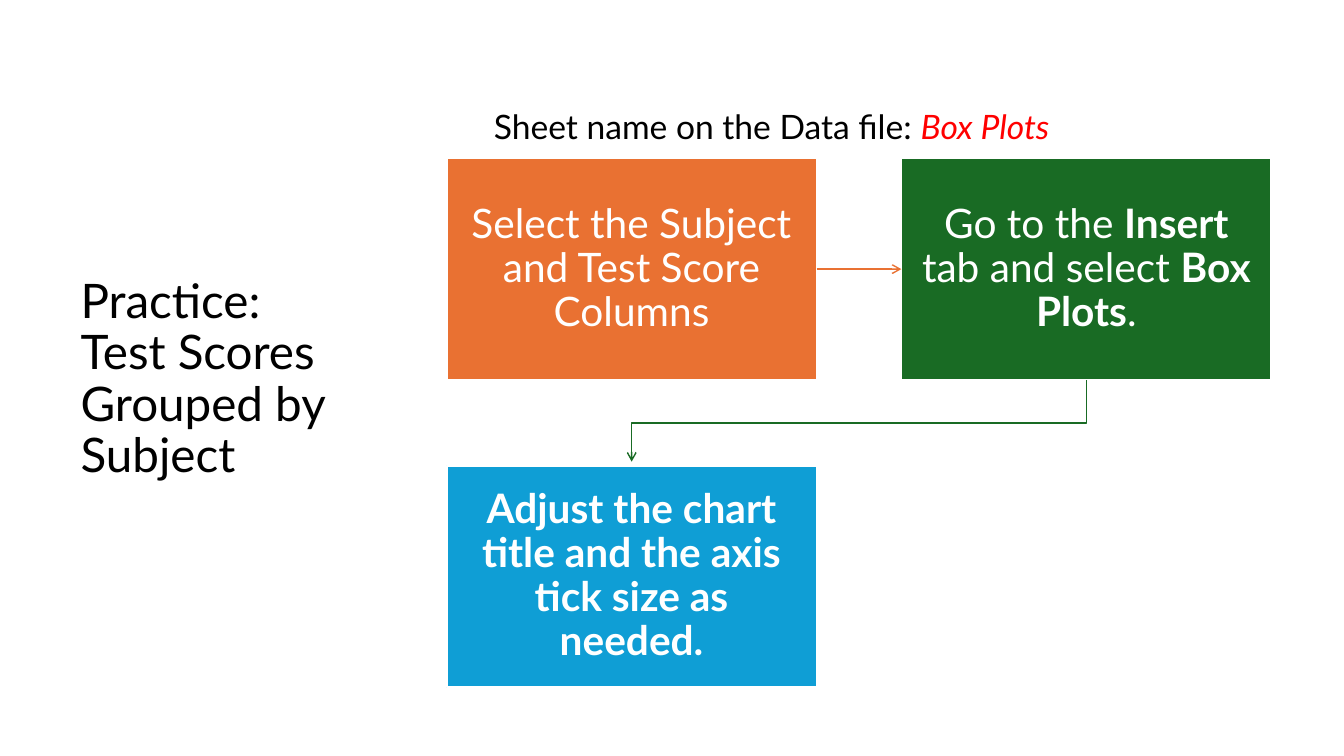
from lxml import etree
from pptx import Presentation
from pptx import util as u
from pptx.dml.color import RGBColor
from pptx.enum import shapes, text
from pptx.oxml.ns import qn

WIDTH, HEIGHT = 13.33, 7.5
TITLE = "Practice:\vTest Scores Grouped by Subject"
CAPTION = [("Sheet name on the Data file: ", {}),
           ("Box Plots", {"italic": True, "color": "FF0000"})]
STEPS = [
    ("E97132", [("Select the Subject and Test Score Columns", {})]),
    ("196B24", [("Go to the ", {}), ("Insert", {"bold": True}),
                (" tab and select ", {}), ("Box Plots", {"bold": True}), (".", {})]),
    ("0F9ED5", [("Adjust the chart title and the axis tick size as needed.", {"bold": True})]),
]
COLUMNS = 2
GRID_LEFT, GRID_TOP = 4.43, 1.57
BOX_WIDTH, BOX_HEIGHT = 3.67, 2.2
COLUMN_STEP, ROW_STEP = 4.51, 3.05
ARROW_GAP = 0.04


def rgb(color):
    return RGBColor.from_string(color)


def apply(target, values):
    for name, value in values.items():
        setattr(target, name, value)


def format_run(run, size, color="000000", **values):
    apply(run.font, {"name": "Lato", "size": u.Pt(size), **values})
    run.font.color.rgb = rgb(color)


def write_runs(paragraph, runs, size, color):
    for words, values in runs:
        run = paragraph.add_run()
        run.text = words
        format_run(run, size, **{"color": color, **values})


def style_arrow(shape, color):
    shape.line.color.rgb = rgb(color)
    shape.line.width = u.Pt(1)
    properties = shape._element.spPr
    etree.SubElement(properties.find(qn("a:ln")), qn("a:tailEnd"), type="arrow")
    if properties.find(qn("a:effectLst")) is None:
        etree.SubElement(properties, qn("a:effectLst"))


def add_title(slide):
    title = slide.shapes.title
    apply(title, {"left": u.Inches(0.7), "top": u.Inches(1.5),
                  "width": u.Inches(2.9), "height": u.Inches(4.54)})
    apply(title.text_frame, {"vertical_anchor": text.MSO_ANCHOR.MIDDLE,
                             "auto_size": text.MSO_AUTO_SIZE.NONE, "word_wrap": True})
    paragraph = title.text_frame.paragraphs[0]
    paragraph.text = TITLE
    apply(paragraph, {"alignment": text.PP_ALIGN.LEFT, "line_spacing": 0.9})
    for run in paragraph.runs:
        format_run(run, 34)
    for line_break in paragraph._p.findall(qn("a:br")):
        etree.SubElement(line_break, qn("a:rPr"), sz="3400")


def add_caption(slide):
    box = slide.shapes.add_textbox(*map(u.Inches, (4.8, 1, 5.78, 0.5)))
    apply(box.text_frame, {"word_wrap": False,
                           "auto_size": text.MSO_AUTO_SIZE.SHAPE_TO_FIT_TEXT})
    write_runs(box.text_frame.paragraphs[0], CAPTION, 24, "000000")


def add_step(slide, index, color, runs):
    row, column = divmod(index, COLUMNS)
    box = slide.shapes.add_shape(
        shapes.MSO_SHAPE.RECTANGLE,
        u.Inches(GRID_LEFT + column * COLUMN_STEP), u.Inches(GRID_TOP + row * ROW_STEP),
        u.Inches(BOX_WIDTH), u.Inches(BOX_HEIGHT))
    box.shadow.inherit = False
    box.fill.solid()
    box.fill.fore_color.rgb = rgb(color)
    box.line.color.rgb = rgb("FFFFFF")
    box.line.width = u.Pt(1.5)
    apply(box.text_frame, {
        "word_wrap": True, "vertical_anchor": text.MSO_ANCHOR.MIDDLE,
        "margin_left": u.Inches(0.18), "margin_right": u.Inches(0.18),
        "margin_top": u.Inches(0.19), "margin_bottom": u.Inches(0.19)})
    paragraph = box.text_frame.paragraphs[0]
    apply(paragraph, {"alignment": text.PP_ALIGN.CENTER, "line_spacing": 0.9})
    write_runs(paragraph, runs, 29, "FFFFFF")
    return box


def add_straight_arrow(slide, start, end, color):
    arrow = slide.shapes.add_connector(shapes.MSO_CONNECTOR.STRAIGHT, 0, 0, 0, 0)
    arrow.begin_connect(start, 3)
    arrow.end_connect(end, 1)
    style_arrow(arrow, color)


def add_elbow_arrow(slide, start, end, color):
    start_x, end_x = (box.left + box.width // 2 for box in (start, end))
    start_y = start.top + start.height
    middle_y = (start_y + end.top) // 2
    end_y = end.top - u.Inches(ARROW_GAP)
    builder = slide.shapes.build_freeform(start_x, start_y)
    builder.add_line_segments(
        [(start_x, middle_y), (end_x, middle_y), (end_x, end_y)], close=False)
    arrow = builder.convert_to_shape()
    arrow.fill.background()
    arrow.shadow.inherit = False
    style_arrow(arrow, color)


def main():
    """Build the practice slide with its three linked steps."""
    presentation = Presentation()
    apply(presentation, {"slide_width": u.Inches(WIDTH), "slide_height": u.Inches(HEIGHT)})
    slide = presentation.slides.add_slide(presentation.slide_layouts[5])
    add_title(slide)
    boxes = [add_step(slide, index, *step) for index, step in enumerate(STEPS)]
    add_straight_arrow(slide, boxes[0], boxes[1], STEPS[0][0])
    add_elbow_arrow(slide, boxes[1], boxes[2], STEPS[1][0])
    add_caption(slide)
    presentation.save("out.pptx")


if __name__ == "__main__":
    main()
